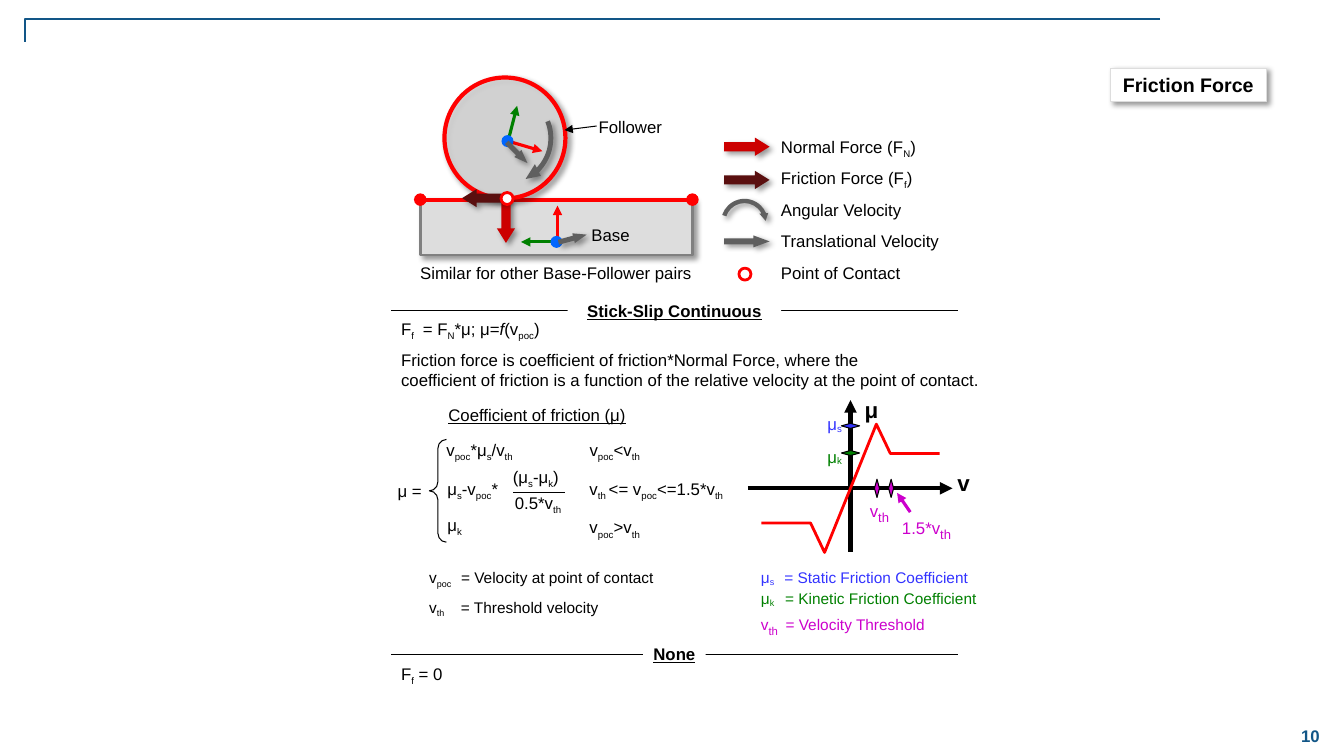
from dataclasses import dataclass
from typing import Optional
from lxml.etree import SubElement
from pptx import Presentation
from pptx.dml.color import RGBColor
from pptx.enum.shapes import MSO_CONNECTOR, MSO_SHAPE
from pptx.enum.text import MSO_ANCHOR, PP_ALIGN
from pptx.oxml.ns import qn
from pptx.util import Pt


@dataclass(frozen=True)
class Theme:
    font: str = "Arial"
    small: float = 11
    body: float = 12
    title: float = 14
    axis: float = 16
    black: str = "000000"
    white: str = "FFFFFF"
    navy: str = "125687"
    pale: str = "DDDDDD"
    grey: str = "808080"
    dark: str = "5F5F5F"
    red: str = "FF0000"
    normal: str = "CC0000"
    drag: str = "5A0F0F"
    green: str = "008000"
    dot: str = "0066FF"
    blue: str = "3333FF"
    pink: str = "CC00CC"


T = Theme()


@dataclass
class Label:
    """Text where |x| marks a subscript and ~x~ an italic."""
    text: str
    x: float
    y: float
    w: float
    color: str = T.black
    size: float = T.body
    h: float = 21.6
    sub: Optional[float] = None
    drop: int = -25
    bold: bool = False
    under: bool = False
    mid: bool = False
    tab: float = 0
    after: float = 0


@dataclass
class Block:
    kind: MSO_SHAPE
    x: float
    y: float
    w: float
    h: float
    fill: Optional[str] = None
    edge: Optional[str] = None
    width: float = 0.75
    turn: float = 0
    adj: tuple = ()
    shade: bool = False
    alpha: int = 100
    label: Optional[Label] = None


@dataclass
class Wire:
    x: float
    y: float
    to_x: float
    to_y: float
    color: str = T.black
    width: float = 0.75
    head: str = ""
    tail: str = ""


@dataclass
class Path:
    points: list
    color: str
    width: float


deck = Presentation()
deck.slide_width, deck.slide_height = Pt(960), Pt(540)
slide = deck.slides.add_slide(deck.slide_layouts[6])


def write(frame, label: Label) -> None:
    frame.word_wrap = True
    for i, text in enumerate(label.text.split("\r")):
        para = frame.paragraphs[0] if i == 0 else frame.add_paragraph()
        para.alignment = PP_ALIGN.CENTER if label.mid else PP_ALIGN.LEFT
        if label.tab:
            stops = SubElement(para._p.get_or_add_pPr(), qn("a:tabLst"))
            SubElement(stops, qn("a:tab"), pos=str(Pt(label.tab)), algn="l")
        if i == 0 and label.after:
            para.space_after = Pt(label.after)
        font = para.font
        font.name, font.size = T.font, Pt(label.size)
        font.bold, font.underline = label.bold, label.under
        font.color.rgb = RGBColor.from_string(label.color)
        for row, line in enumerate(text.split("\n")):
            if row:
                para.add_line_break()
            for j, piece in enumerate(line.split("|")):
                for k, bit in enumerate(piece.split("~")):
                    if bit:
                        run = para.add_run()
                        run.text = bit
                        if k % 2:
                            run.font.italic = True
                        if j % 2:
                            run._r.get_or_add_rPr().set("baseline", str(label.drop * 1000))
                            if label.sub:
                                run.font.size = Pt(label.sub)


def draw_label(label: Label) -> None:
    pad = 0 if label.mid else 3
    box = slide.shapes.add_textbox(Pt(label.x), Pt(label.y), Pt(label.w + pad), Pt(label.h))
    write(box.text_frame, label)


def paint(line, color: str, width: float) -> None:
    line.color.rgb = RGBColor.from_string(color)
    line.width = Pt(width)


def draw_block(b: Block) -> None:
    shape = slide.shapes.add_shape(b.kind, Pt(b.x), Pt(b.y), Pt(b.w), Pt(b.h))
    shape.rotation = b.turn
    for i, value in enumerate(b.adj):
        shape.adjustments[i] = value
    if b.fill:
        shape.fill.solid()
        shape.fill.fore_color.rgb = RGBColor.from_string(b.fill)
    else:
        shape.fill.background()
    if b.edge:
        paint(shape.line, b.edge, b.width)
    else:
        shape.line.fill.background()
    shape.shadow.inherit = False
    props = shape._element.spPr
    if b.alpha < 100:
        tint = props.find(qn("a:solidFill")).find(qn("a:srgbClr"))
        SubElement(tint, qn("a:alpha"), val=str(b.alpha * 1000))
    if b.shade:
        cast = SubElement(props.find(qn("a:effectLst")), qn("a:outerShdw"), blurRad=str(Pt(4)),
                          dist=str(Pt(3)), dir=str(45 * 60000), algn="tl", rotWithShape="0")
        tint = SubElement(cast, qn("a:srgbClr"), val=T.black)
        SubElement(tint, qn("a:alpha"), val="40000")
    if b.label:
        shape.text_frame.vertical_anchor = MSO_ANCHOR.TOP
        write(shape.text_frame, b.label)


def draw_wire(w: Wire) -> None:
    wire = slide.shapes.add_connector(MSO_CONNECTOR.STRAIGHT, Pt(w.x), Pt(w.y), Pt(w.to_x), Pt(w.to_y))
    paint(wire.line, w.color, w.width)
    props = wire._element.spPr
    for tag, kind in (("a:headEnd", w.head), ("a:tailEnd", w.tail)):
        if kind:
            SubElement(props.find(qn("a:ln")), qn(tag), type=kind)
    SubElement(props, qn("a:effectLst"))


def draw_path(p: Path) -> None:
    spots = [(Pt(x), Pt(y)) for x, y in p.points]
    maker = slide.shapes.build_freeform(*spots[0])
    maker.add_line_segments(spots[1:], close=False)
    shape = maker.convert_to_shape()
    shape.fill.background()
    paint(shape.line, p.color, p.width)
    shape.shadow.inherit = False


DRAW = {Label: draw_label, Block: draw_block, Wire: draw_wire, Path: draw_path}


def arrow(x: float, y: float, fill: str, turn: float, w: float = 13, h: float = 32.4, tip: float = 0.8) -> Block:
    """Thick arrow centred on x, y."""
    return Block(MSO_SHAPE.DOWN_ARROW, x - w / 2, y - h / 2, w, h, fill, turn=turn, adj=(0.5, tip), shade=True)


def ring(x: float, y: float, fill: str, edge: Optional[str] = None) -> Block:
    return Block(MSO_SHAPE.OVAL, x - 4.3, y - 4.3, 8.6, 8.6, fill, edge, 2)


def tick(x: float, y: float, fill: str, turn: float = 0) -> Block:
    return Block(MSO_SHAPE.DIAMOND, x - 6.5, y - 1.8, 13, 3.6, fill, T.black, turn=turn)


def swirl(x: float, y: float, size: float, turn: float, adj: tuple) -> Block:
    return Block(MSO_SHAPE.CIRCULAR_ARROW, x, y, size, size, T.dark, turn=turn, adj=adj, shade=True)


def section(text: str, y: float, x: float, w: float) -> list:
    """Ruled heading with the rule broken behind its text."""
    name = Label(text, x, y, w, bold=True, under=True, mid=True)
    return [Wire(684, y + 10.8, 279.4, y + 10.8),
            Block(MSO_SHAPE.RECTANGLE, x, y, w, 21.6, T.white, label=name)]


# Page frame and title
page = [
    Path([(828.7, 13.7), (18, 13.7), (18, 30.2)], T.navy, 1),
    Label("10", 912, 514.8, 48, T.navy, bold=True, mid=True),
    Block(MSO_SHAPE.RECTANGLE, 793.4, 48.6, 111, 24.2, T.white, T.pale, shade=True,
          label=Label("Friction Force", 0, 0, 0, size=T.title, bold=True, mid=True)),
]

# Follower rolling on its base
scene = [
    Block(MSO_SHAPE.RECTANGLE, 300.2, 142.6, 194.4, 39.6, T.pale, T.grey, 2, shade=True),
    Wire(398.2, 172.8, 398.2, 146.9, T.red, 2.25, tail="triangle"),
    Wire(398.2, 172.8, 372.2, 172.8, T.green, 2.25, tail="triangle"),
    ring(397.5, 172.8, T.dot),
    Wire(300.2, 142.6, 494.6, 142.6, T.red, 3, "oval", "oval"),
    Label("Base", 415.4, 157, 42),
    Block(MSO_SHAPE.OVAL, 317.5, 55.4, 86.4, 86.4, T.pale, T.red, 3, shade=True, alpha=67),
    Wire(362.9, 100.8, 387.4, 108, T.red, 2.25, tail="triangle"),
    Wire(362.9, 100.8, 369.4, 75.6, T.green, 2.25, tail="triangle"),
    ring(362.5, 100.8, T.dot),
    Label("Follower", 420.5, 80, 60),
    Wire(426.2, 90, 403.2, 92.9, tail="triangle"),
    arrow(361.4, 157.3, T.normal, 0),
    arrow(346.3, 141.5, T.drag, 90),
    swirl(323.3, 61.2, 74.9, 75, (0.046, 11.423, 197.573, 158.129, 0.063)),
    arrow(369.4, 109.1, T.dark, 315, 7.2, 20.9, 1.35),
    arrow(409, 170.3, T.dark, 255, 7.2, 20.9, 1.35),
    ring(362.2, 141.8, T.white, T.red),
    Label("Similar for other Base-Follower pairs", 293, 184.3, 210.2),
]

# Legend
names = ["Normal Force (F|N|)", "Friction Force (F|f|)", "Angular Velocity",
         "Translational Velocity", "Point of Contact"]
legend = [Label(name, 550.8, 93.8 + 22.5 * i, 128.2) for i, name in enumerate(names)] + [
    arrow(533.5, 104.8, T.normal, 270),
    arrow(533.5, 128.5, T.drag, 270),
    swirl(513.4, 140.4, 36.7, 45, (0.083, 12.651, 174.099, 91.853, 0.086)),
    arrow(533.5, 172.4, T.dark, 270, 8.6, 32.4, 1.35),
    ring(532.1, 195.8, T.white, T.red),
]

# Stick-slip rule and its cases
rule = section("Stick-Slip Continuous", 211, 405.4, 152.6) + [
    Label("F|f|\t= F|N|*μ; μ=~f~(v|poc|)\rFriction force is coefficient of friction*Normal Force, where the\n"
          "coefficient of friction is a function of the relative velocity at the point of contact.",
          279.4, 224, 431.3, h=56.9, tab=15.6, after=6),
    Label("Coefficient of friction (μ)", 313.2, 285.8, 142.6, under=True),
    Block(MSO_SHAPE.LEFT_BRACE, 306.7, 313.9, 12.2, 73.4, None, T.black, adj=(0.53, 0.5)),
    Label("μ =", 274.3, 339.8, 36.7, mid=True),
    Label("v|poc|*μ|s|/v|th|", 311.8, 310.3, 65.5),
    Label("μ|s|-v|poc|*", 312.5, 338.4, 53.3),
    Label("μ|k|", 312.5, 364.3, 25.2),
    Label("(μ|s|-μ|k|)", 359.3, 329.8, 49),
    Wire(366.5, 352.1, 403.9, 352.1),
    Label("0.5*v|th|", 360.7, 348.5, 49),
    Label("v|poc|<v|th|", 414, 310.3, 54),
    Label("v|th |<= v|poc|<=1.5*v|th|", 414, 338.4, 120.2),
    Label("v|poc|>v|th|", 414, 365.8, 98.6),
    Label("v|poc|\t= Velocity at point of contact", 299.5, 402.5, 179.3, size=T.small, tab=22.7),
    Label("v|th|\t= Threshold velocity", 299.5, 423.4, 139.7, size=T.small, tab=22.7),
]

# Friction curve, mirrored about the origin
X, Y = 607.5, 348.8
bend = [(0, 0), (18.5, -45.8), (28.5, -24.8), (63.7, -24.8)]
graph = [
    Label("μ|s|\t= Static Friction Coefficient", 536.4, 402.5, 167.8, T.blue, T.small, drop=-10, tab=16.8),
    Label("μ|k|\t= Kinetic Friction Coefficient", 536.4, 417.6, 173.5, T.green, T.small, drop=-10, tab=17.3),
    Label("v|th|\t= Velocity Threshold", 536.4, 432.7, 151.9, T.pink, T.small, sub=T.title, tab=17.6),
    Wire(X, 285.8, X, 394.6, width=3, head="triangle"),
    Wire(534.2, Y, 680.4, Y, width=3, tail="triangle"),
    tick(X, 304.2, T.blue),
    tick(X, 323.6, T.green),
    Label("μ|k|", 583.9, 315.4, 25.2, T.green, drop=-10),
    Label("μ|s|", 583.9, 292.3, 25.2, T.blue, drop=-10),
    tick(626.4, Y, T.pink, 90),
    tick(636.5, Y, T.pink, 90),
    Label("v|th|", 614.2, 349.9, 30.2, T.pink, sub=T.axis),
    Label("μ", 610.6, 279.4, 24.5, size=T.axis, bold=True),
    Label("v", 676.8, 331.9, 23.8, size=T.axis, bold=True),
    Label("1.5*v|th|", 637.2, 362.2, 54.7, T.pink, sub=T.axis),
    Wire(650.2, 365.8, 640.8, 352.1, T.pink, 2.25, tail="triangle"),
] + [Path([(X + way * x, Y + way * y) for x, y in bend], T.red, 2) for way in (1, -1)]

# Frictionless case
free = section("None", 456.5, 459.4, 44.6) + [Label("F|f| = 0", 279.4, 470.2, 46.8)]

for part in page + scene + legend + rule + graph + free:
    DRAW[type(part)](part)

deck.save("out.pptx")
